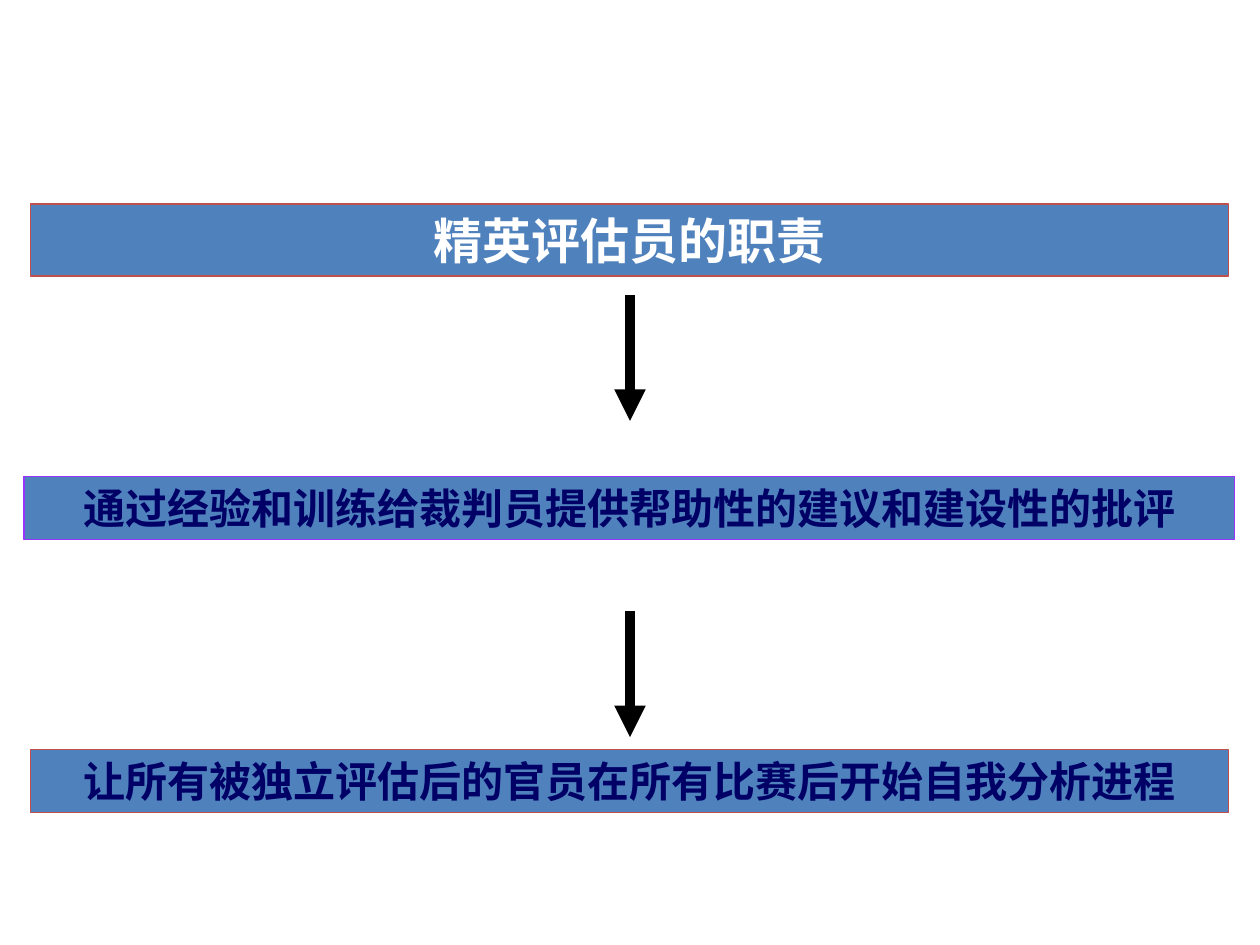
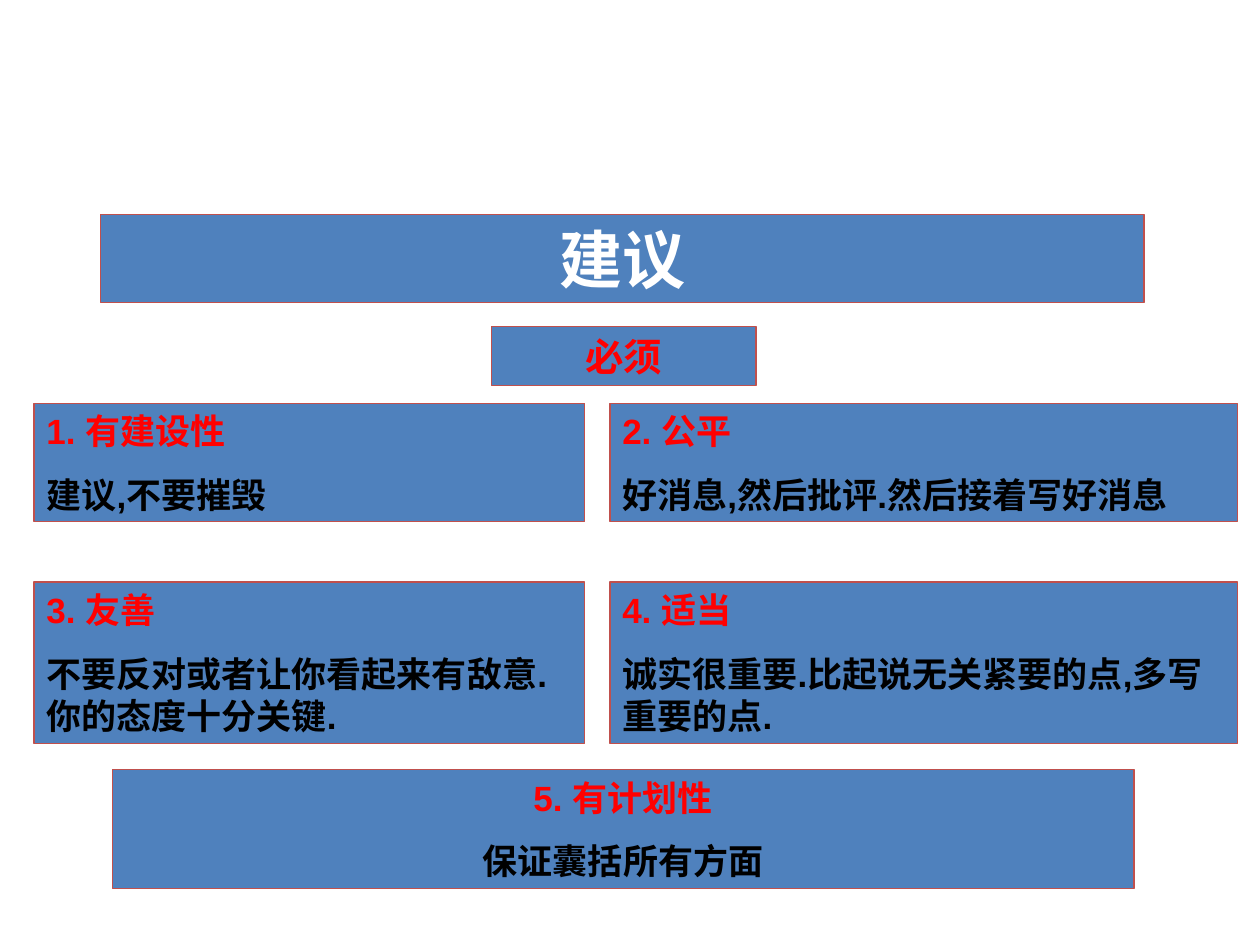
from dataclasses import dataclass

from lxml import etree
from pptx import Presentation
from pptx.dml.color import RGBColor
from pptx.enum.shapes import MSO_CONNECTOR, MSO_SHAPE
from pptx.enum.text import MSO_ANCHOR, MSO_AUTO_SIZE, PP_ALIGN
from pptx.oxml.ns import qn
from pptx.slide import Slide
from pptx.util import Inches, Pt

RECTANGLE = MSO_SHAPE.RECTANGLE
STRAIGHT = MSO_CONNECTOR.STRAIGHT
TOP = MSO_ANCHOR.TOP
GROW = MSO_AUTO_SIZE.SHAPE_TO_FIT_TEXT
LEFT, CENTER = PP_ALIGN.LEFT, PP_ALIGN.CENTER

COLORS = {
    "band": "4F81BD",
    "border": "C0504D",
    "accent_border": "9933FF",
    "title": "FFFFFF",
    "statement": "000066",
    "heading": "FF0000",
    "body": "000000",
}
BORDER_WIDTH = 0.75
ARROW_WIDTH = 6
SPACE_RATIO = 0.625  # paragraph space as a share of the text size


@dataclass(frozen=True)
class Line:
    text: str
    size: int
    color: str
    font: str = "Arial"


@dataclass(frozen=True)
class Band:
    left: float
    top: float
    width: float
    height: float
    lines: tuple[Line, ...]
    align: PP_ALIGN = CENTER
    border: str = "border"


@dataclass(frozen=True)
class Arrow:
    x: float
    top: float
    length: float = 1.0


def rgb(name: str) -> RGBColor:
    return RGBColor.from_string(COLORS[name])


def draw_band(slide: Slide, band: Band) -> None:
    shape = slide.shapes.add_shape(
        RECTANGLE, Inches(band.left), Inches(band.top),
        Inches(band.width), Inches(band.height))
    shape.shadow.inherit = False
    shape.fill.solid()
    shape.fill.fore_color.rgb = rgb(band.fill if hasattr(band, "fill") else "band")
    shape.line.color.rgb = rgb(band.border)
    shape.line.width = Pt(BORDER_WIDTH)

    frame = shape.text_frame
    frame.word_wrap = True
    frame.auto_size = GROW
    frame.vertical_anchor = TOP
    for index, line in enumerate(band.lines):
        paragraph = frame.add_paragraph() if index else frame.paragraphs[0]
        paragraph.alignment = band.align
        if index:
            paragraph.space_before = Pt(line.size * SPACE_RATIO)
        run = paragraph.add_run()
        run.text = line.text
        run.font.name = line.font
        run.font.size = Pt(line.size)
        run.font.bold = True
        run.font.color.rgb = rgb(line.color)


def draw_arrow(slide: Slide, arrow: Arrow) -> None:
    connector = slide.shapes.add_connector(
        STRAIGHT, Inches(arrow.x), Inches(arrow.top),
        Inches(arrow.x), Inches(arrow.top + arrow.length))
    connector.line.color.rgb = rgb("body")
    connector.line.width = Pt(ARROW_WIDTH)
    etree.SubElement(connector.line._get_or_add_ln(), qn("a:tailEnd"), type="triangle")
    etree.SubElement(connector._element.spPr, qn("a:effectLst"))


def advice(heading: str, body: str) -> tuple[Line, ...]:
    return Line(heading, 20, "heading"), Line(body, 20, "body")


# Slide 1: the chain of duties
DUTY_BANDS = (
    Band(0.24, 1.62, 9.51, 0.57, (Line("精英评估员的职责", 28, "title"),)),
    Band(0.19, 3.78, 9.61, 0.5,
         (Line("通过经验和训练给裁判员提供帮助性的建议和建设性的批评", 24, "statement"),),
         border="accent_border"),
    Band(0.24, 5.95, 9.51, 0.5,
         (Line("让所有被独立评估后的官员在所有比赛后开始自我分析进程", 24, "statement",
               "Times New Roman"),)),
)
DUTY_ARROWS = (Arrow(5, 2.34), Arrow(5, 4.85))

# Slide 2: title, label and closing band around a grid of advice
ADVICE_BANDS = (
    Band(0.8, 1.7, 8.28, 0.7, (Line("建议", 36, "title"),)),
    Band(3.9, 2.59, 2.1, 0.47, (Line("必须", 22, "heading"),)),
    Band(0.89, 6.11, 8.11, 0.94, advice("5. 有计划性", "保证囊括所有方面")),
)
GRID_COLUMNS = ((0.27, 4.37), (4.84, 4.98))  # left, width
GRID_ROWS = ((3.2, 0.94), (4.62, 1.28))  # top, height
GRID_ADVICE = (
    (advice("1. 有建设性", "建议,不要摧毁"),
     advice("2. 公平", "好消息,然后批评.然后接着写好消息")),
    (advice("3. 友善", "不要反对或者让你看起来有敌意.你的态度十分关键."),
     advice("4. 适当", "诚实很重要.比起说无关紧要的点,多写重要的点.")),
)


def build_duties(slide: Slide) -> None:
    for band in DUTY_BANDS:
        draw_band(slide, band)
    for arrow in DUTY_ARROWS:
        draw_arrow(slide, arrow)


def build_advice(slide: Slide) -> None:
    for band in ADVICE_BANDS:
        draw_band(slide, band)
    for (top, height), row in zip(GRID_ROWS, GRID_ADVICE):
        for (left, width), lines in zip(GRID_COLUMNS, row):
            draw_band(slide, Band(left, top, width, height, lines, LEFT))


def main() -> None:
    presentation = Presentation()
    presentation.slide_width = Inches(10)
    presentation.slide_height = Inches(7.5)
    blank = presentation.slide_layouts[6]
    for build in (build_duties, build_advice):
        build(presentation.slides.add_slide(blank))
    presentation.save("out.pptx")


if __name__ == "__main__":
    main()
